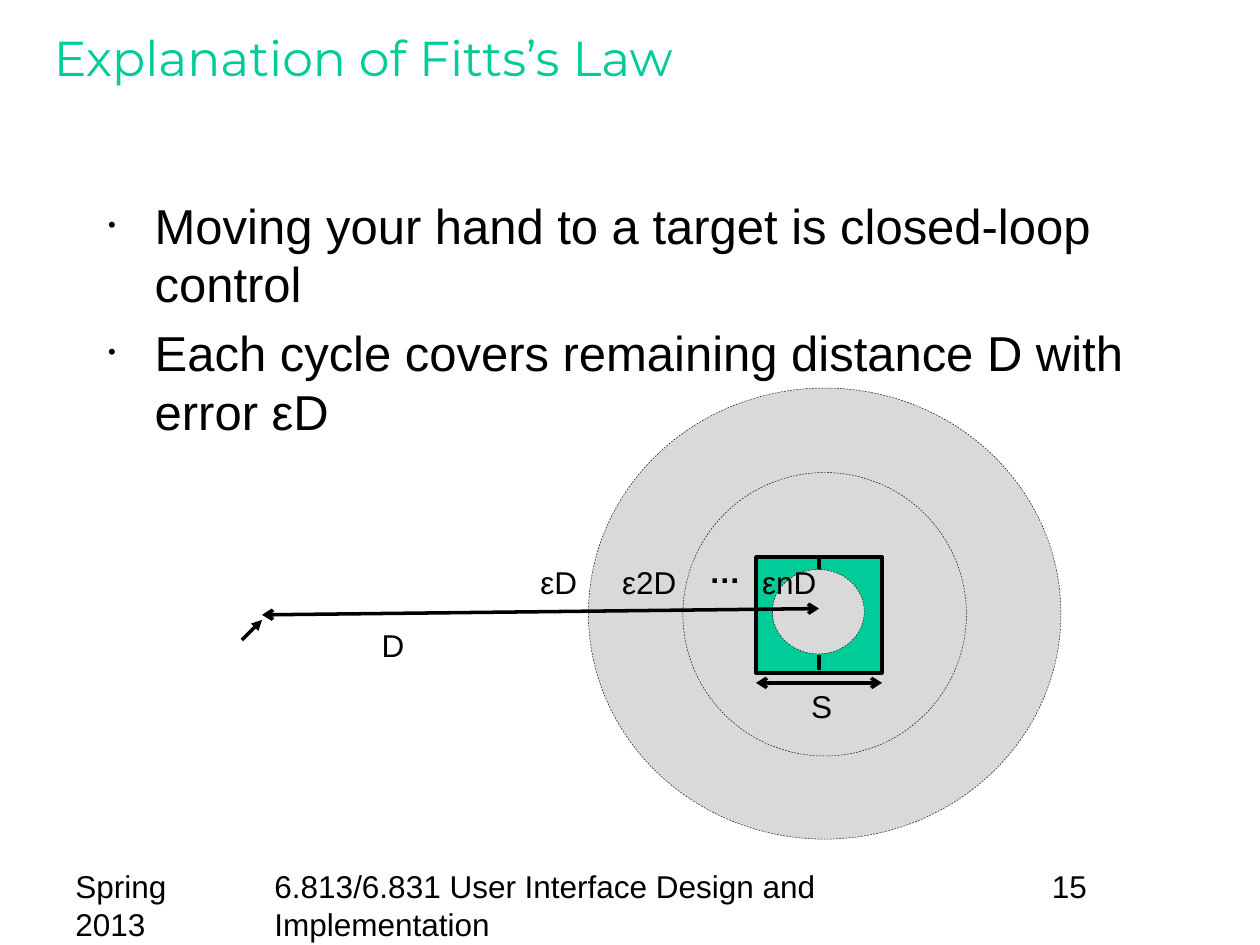
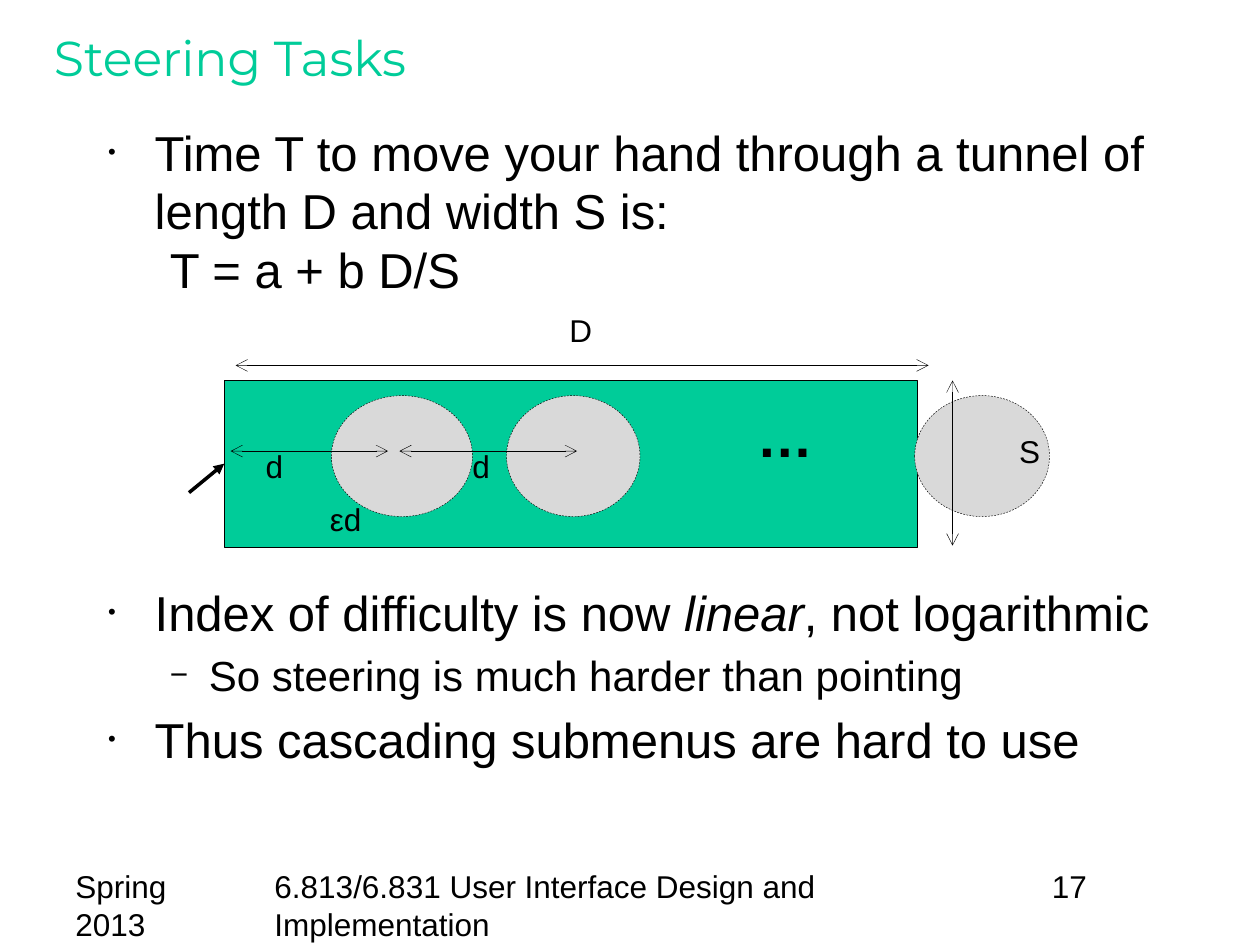
"""Build two slides on Fitts's Law and steering tasks."""
from dataclasses import dataclass

from lxml.etree import SubElement
from pptx import Presentation
from pptx.dml.color import RGBColor
from pptx.enum.dml import MSO_LINE
from pptx.enum.shapes import MSO_CONNECTOR, MSO_SHAPE
from pptx.enum.text import MSO_AUTO_SIZE
from pptx.oxml.ns import qn
from pptx.util import Inches, Pt

COLORS = {"accent": "00CC99", "ring": "D9D9D9", "ink": "000000"}
BODY_FONT, TITLE_FONT = "Arial", "Montserrat"
COURSE = "6.813/6.831 User Interface Design and Implementation"
THIN, THICK = 0.25, 2


@dataclass(frozen=True)
class Box:
    """A rectangle in inches."""
    left: float
    top: float
    width: float
    height: float

    def emu(self) -> list:
        """Return the four lengths for a shape call."""
        return [Inches(v) for v in (self.left, self.top, self.width, self.height)]


@dataclass(frozen=True)
class Label:
    """A short text beside a diagram element."""
    text: str
    box: Box
    size: int = 18
    bold: bool = False


@dataclass(frozen=True)
class Arrow:
    """A straight line with optional ends."""
    start: tuple
    end: tuple
    width: float = THICK
    head: str = ""
    tail: str = ""


@dataclass(frozen=True)
class Level:
    """The look of one outline level."""
    bullet: str
    percent: int
    left: float
    hang: float
    size: int
    before: float


@dataclass(frozen=True)
class Item:
    """One outline paragraph made of (text, italic) pairs."""
    pieces: tuple
    level: int = 0


LEVELS = (Level("•", 45, 0.38, 0.37, 28, 5.6), Level("−", 75, 0.81, 0.31, 24, 4.8))


def rgb(name: str) -> RGBColor:
    """Look up a colour by its name."""
    return RGBColor.from_string(COLORS[name])


def write(p, text: str, *, size: int = 18, font: str = BODY_FONT, color: str = "ink",
          bold: bool = False, italic: bool = False) -> None:
    """Add formatted text to a paragraph, breaking at newlines."""
    for i, line in enumerate(text.split("\n")):
        if i:
            p.add_line_break()
        r = p.add_run()
        r.text = line
        r.font.size, r.font.name = Pt(size), font
        r.font.bold, r.font.italic = bold, italic
        r.font.color.rgb = rgb(color)


def add_frame(s, box: Box, wrap: bool = True):
    """Add a text box and return its text frame."""
    tf = s.shapes.add_textbox(*box.emu()).text_frame
    tf.word_wrap = wrap
    return tf


def add_labels(s, *labels: Label) -> None:
    """Draw labels that do not wrap."""
    for label in labels:
        tf = add_frame(s, label.box, wrap=False)
        tf.auto_size = MSO_AUTO_SIZE.SHAPE_TO_FIT_TEXT
        write(tf.paragraphs[0], label.text, size=label.size, bold=label.bold)


def set_bullet(p, level: Level) -> None:
    """Give a paragraph its indent and bullet."""
    pPr = p._p.get_or_add_pPr()
    pPr.set("marL", str(Inches(level.left)))
    pPr.set("indent", str(-Inches(level.hang)))
    color = SubElement(pPr, qn("a:buClr"))
    SubElement(color, qn("a:srgbClr"), val=COLORS["ink"])
    SubElement(pPr, qn("a:buSzPct"), val=str(level.percent * 1000))
    SubElement(pPr, qn("a:buFont"), typeface=BODY_FONT)
    SubElement(pPr, qn("a:buChar"), char=level.bullet)


def add_outline(s, box: Box, *items: Item) -> None:
    """Draw a bulleted outline."""
    tf = add_frame(s, box)
    for i, item in enumerate(items):
        p = tf.add_paragraph() if i else tf.paragraphs[0]
        level = LEVELS[item.level]
        p.level = item.level
        set_bullet(p, level)
        if i:
            p.space_before = Pt(level.before)
        for text, italic in item.pieces:
            write(p, text, size=level.size, italic=italic)


def add_block(s, kind: MSO_SHAPE, box: Box, color: str, width: float = THIN):
    """Draw a filled, outlined shape."""
    sp = s.shapes.add_shape(kind, *box.emu())
    sp.shadow.inherit = False
    sp.fill.solid()
    sp.fill.fore_color.rgb = rgb(color)
    sp.line.color.rgb = rgb("ink")
    sp.line.width = Pt(width)
    return sp


def add_ring(s, box: Box) -> None:
    """Draw a dashed error region."""
    add_block(s, MSO_SHAPE.OVAL, box, "ring").line.dash_style = MSO_LINE.DASH


def add_arrow(s, arrow: Arrow):
    """Draw a straight connector with its arrowheads."""
    points = [Inches(v) for v in (*arrow.start, *arrow.end)]
    sp = s.shapes.add_connector(MSO_CONNECTOR.STRAIGHT, *points)
    sp.line.color.rgb = rgb("ink")
    sp.line.width = Pt(arrow.width)
    spPr = sp._element.spPr
    ln = spPr.find(qn("a:ln"))
    for tag, kind in (("a:headEnd", arrow.head), ("a:tailEnd", arrow.tail)):
        if kind:
            SubElement(ln, qn(tag), type=kind)
    SubElement(spPr, qn("a:effectLst"))
    return sp


def add_span(s, start: tuple, end: tuple, width: float = THIN) -> None:
    """Draw a dimension line with open arrows at both ends."""
    add_arrow(s, Arrow(start, end, width, "arrow", "arrow"))


def new_slide(prs, title: str, number: int):
    """Add a slide with its title and footers."""
    s = prs.slides.add_slide(prs.slide_layouts[6])
    tf = add_frame(s, Box(0.33, 0.17, 9.25, 0.83))
    write(tf.paragraphs[0], title, size=28, font=TITLE_FONT, color="accent")
    for left, width, text in ((0.5, 1.5, "Spring 2013"), (2.08, 6.08, COURSE),
                              (8.25, 1.25, str(number))):
        write(add_frame(s, Box(left, 6.83, width, 0.52)).paragraphs[0], text)
    return s


def build_fitts(prs) -> None:
    """Draw the slide that explains Fitts's Law."""
    s = new_slide(prs, "Explanation of Fitts’s Law", 15)
    add_outline(
        s, Box(0.75, 1.5, 8.5, 5.17),
        Item((("Moving your hand to a target is closed-loop control", False),)),
        Item((("Each cycle covers remaining distance D with error εD", False),)))
    add_ring(s, Box(4.67, 3.08, 3.75, 3.58))
    add_ring(s, Box(5.42, 3.75, 2.25, 2.25))
    add_arrow(s, Arrow((1.92, 5.08), (2.08, 4.92), tail="triangle"))
    target = add_block(s, MSO_SHAPE.RECTANGLE, Box(6, 4.42, 1, 0.92), "accent", THICK)
    add_span(s, (6, 5.42), (7, 5.42), THICK)
    axis = add_arrow(s, Arrow((6.5, 4.42), (6.5, 5.34)))
    axis.line.dash_style = MSO_LINE.DASH
    axis.begin_connect(target, 0)
    axis.end_connect(target, 2)
    add_ring(s, Box(6.13, 4.52, 0.73, 0.67))
    add_span(s, (2.08, 4.88), (6.5, 4.83), THICK)
    add_labels(
        s,
        Label("D", Box(2.93, 4.92, 0.38, 0.4)),
        Label("S", Box(6.34, 5.4, 0.36, 0.4)),
        Label("…", Box(5.53, 4.33, 0.45, 0.4), bold=True),
        Label("εD", Box(4.19, 4.42, 0.49, 0.4)),
        Label("ε2D", Box(4.84, 4.42, 0.63, 0.4)),
        Label("εnD", Box(5.95, 4.42, 0.63, 0.4)))


def build_steering(prs) -> None:
    """Draw the slide on steering through a tunnel."""
    s = new_slide(prs, "Steering Tasks", 17)
    add_outline(
        s, Box(0.75, 0.92, 8.5, 1.5),
        Item((("Time T to move your hand through a tunnel of length D and width S is:"
               "\n\tT = a + b D/S", False),)))
    add_outline(
        s, Box(0.75, 4.57, 8.5, 1.52),
        Item((("Index of difficulty is now ", False), ("linear", True),
              (", not logarithmic", False))),
        Item((("So steering is much harder than pointing", False),), level=1),
        Item((("Thus cascading submenus are hard to use", False),)))
    tunnel = add_block(s, MSO_SHAPE.RECTANGLE, Box(1.78, 3.02, 5.5, 1.32), "accent")
    for left, width in ((2.63, 1.12), (4.02, 1.06), (7.26, 1.07)):
        add_ring(s, Box(left, 3.14, width, 0.96))
    pointer = add_arrow(s, Arrow((1.5, 3.91), (1.78, 3.68), tail="triangle"))
    pointer.end_connect(tunnel, 1)
    add_span(s, (1.87, 2.9), (7.37, 2.9))
    add_span(s, (7.56, 4.33), (7.56, 3.02))
    for left, right in ((1.83, 3.08), (3.17, 4.58)):
        add_span(s, (left, 3.58), (right, 3.58))
    add_labels(
        s,
        Label("D", Box(4.42, 2.42, 0.38, 0.4)),
        Label("S", Box(7.99, 3.38, 0.36, 0.4)),
        Label("…", Box(5.91, 3.14, 0.64, 0.63), size=32, bold=True),
        Label("d", Box(2.01, 3.5, 0.34, 0.4)),
        Label("d", Box(3.65, 3.5, 0.34, 0.4)),
        Label("εd", Box(2.52, 3.92, 0.45, 0.4)))


def main() -> None:
    """Build and save the presentation."""
    prs = Presentation()
    prs.slide_width, prs.slide_height = Inches(10), Inches(7.5)
    build_fitts(prs)
    build_steering(prs)
    prs.save("out.pptx")


if __name__ == "__main__":
    main()
